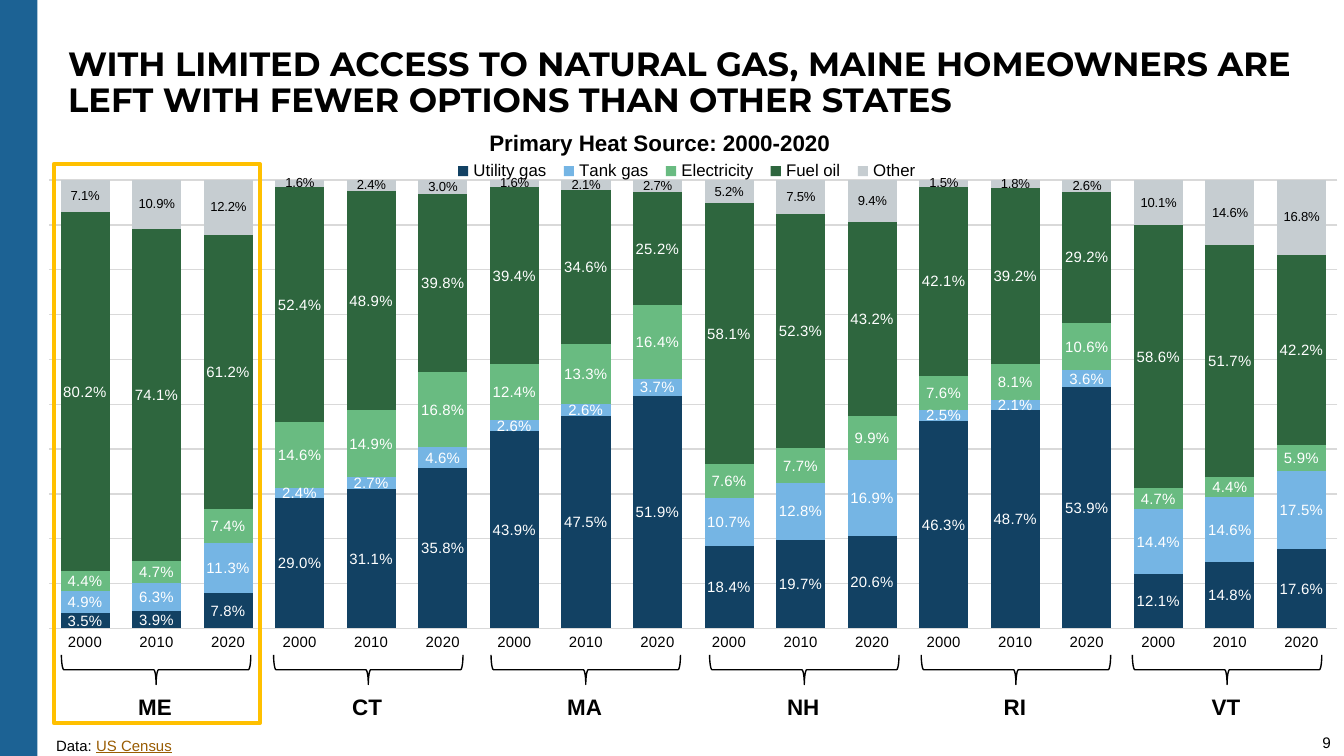
"""Build a slide comparing primary home heat sources across New England states."""
from dataclasses import dataclass
from typing import Any

from lxml import etree
from pptx import Presentation
from pptx import util as u
from pptx.chart import data as chart_data
from pptx.dml.color import RGBColor
from pptx.enum import chart as charts, shapes, text
from pptx.oxml import ns

COLORS = {
    "black": "000000", "white": "FFFFFF", "sidebar": "1C6294", "highlight": "FFC000",
    "grid": "D9D9D9", "link": "995C02", "utility": "124163", "tank": "75B5E4",
    "electricity": "69BB81", "oil": "2E663E", "other": "C6CDD1",
}
YEARS = ("2000", "2010", "2020")


@dataclass(frozen=True)
class Box:
    left: float
    top: float
    width: float
    height: float

    def lengths(self) -> tuple:
        return tuple(u.Cm(n) for n in (self.left, self.top, self.width, self.height))


@dataclass(frozen=True)
class Run:
    words: str
    size: float
    color: str = "black"
    bold: bool = False
    underline: bool = False
    font: str = "Arial"


@dataclass(frozen=True)
class Source:
    name: str
    color: str
    percents: tuple
    label_color: str = "white"
    label_size: float = 8


@dataclass(frozen=True)
class State:
    name: str
    center: float


SOURCES = (
    Source("Utility gas", "utility", (3.5, 3.9, 7.8, 29.0, 31.1, 35.8, 43.9, 47.5, 51.9,
                                      18.4, 19.7, 20.6, 46.3, 48.7, 53.9, 12.1, 14.8, 17.6)),
    Source("Tank gas", "tank", (4.9, 6.3, 11.3, 2.4, 2.7, 4.6, 2.6, 2.6, 3.7,
                                10.7, 12.8, 16.9, 2.5, 2.1, 3.6, 14.4, 14.6, 17.5)),
    Source("Electricity", "electricity", (4.4, 4.7, 7.4, 14.6, 14.9, 16.8, 12.4, 13.3, 16.4,
                                          7.6, 7.7, 9.9, 7.6, 8.1, 10.6, 4.7, 4.4, 5.9)),
    Source("Fuel oil", "oil", (80.2, 74.1, 61.2, 52.4, 48.9, 39.8, 39.4, 34.6, 25.2,
                               58.1, 52.3, 43.2, 42.1, 39.2, 29.2, 58.6, 51.7, 42.2)),
    Source("Other", "other", (7.1, 10.9, 12.2, 1.6, 2.4, 3.0, 1.6, 2.1, 2.7,
                              5.2, 7.5, 9.4, 1.5, 1.8, 2.6, 10.1, 14.6, 16.8), "black", 7),
)
STATES = (State("ME", 2.95), State("CT", 6.96), State("MA", 11.07),
          State("NH", 15.2), State("RI", 19.2), State("VT", 23.19))


def rgb(name: str) -> RGBColor:
    return RGBColor.from_string(COLORS[name])


def style_font(font: Any, size: float, color: str = "black", bold: bool = False,
               name: str = "Arial") -> None:
    font.name, font.size, font.bold = name, u.Pt(size), bold
    font.color.rgb = rgb(color)


def add_runs(paragraph: Any, runs: tuple[Run, ...]) -> None:
    for item in runs:
        run = paragraph.add_run()
        run.text = item.words
        style_font(run.font, item.size, item.color, item.bold, item.font)
        if item.underline:
            run.font.underline = True


def add_text(parent: Any, box: Box, *runs: Run, align: Any = text.PP_ALIGN.LEFT,
             anchor: Any = text.MSO_ANCHOR.TOP, spacing: float = 1.0) -> None:
    frame = parent.add_textbox(*box.lengths()).text_frame
    frame.word_wrap = True
    frame.vertical_anchor = anchor
    paragraph = frame.paragraphs[0]
    paragraph.alignment, paragraph.line_spacing = align, spacing
    add_runs(paragraph, runs)


def add_outline(parent: Any, kind: Any, box: Box, color: str, weight: float) -> Any:
    shape = parent.add_shape(kind, *box.lengths())
    shape.shadow.inherit = False
    shape.fill.background()
    shape.line.color.rgb = rgb(color)
    shape.line.width = u.Pt(weight)
    return shape


def place(element: Any, **fractions: float) -> None:
    for old in element.findall(ns.qn("c:layout")):
        element.remove(old)
    layout = etree.Element(ns.qn("c:layout"))
    manual = etree.SubElement(layout, ns.qn("c:manualLayout"))
    settings = {"xMode": "edge", "yMode": "edge", **fractions}
    if element.tag == ns.qn("c:plotArea"):
        settings = {"layoutTarget": "inner", **settings}
    for key, value in settings.items():
        etree.SubElement(manual, ns.qn(f"c:{key}")).set("val", str(value))
    overlay = element.find(ns.qn("c:overlay"))
    element.insert(0 if overlay is None else element.index(overlay), layout)


def add_heat_chart(slide: Any, box: Box) -> None:
    data = chart_data.CategoryChartData(number_format="0.0%")
    data.categories = YEARS * len(STATES)
    for source in SOURCES:
        data.add_series(source.name, [round(n / 100, 3) for n in source.percents])
    kind = charts.XL_CHART_TYPE.COLUMN_STACKED_100
    chart = slide.shapes.add_chart(kind, *box.lengths(), data).chart
    style_font(chart.font, 10)
    chart.has_title = True
    add_runs(chart.chart_title.text_frame.paragraphs[0],
             (Run("Primary Heat Source: 2000-2020", 12, bold=True),))
    chart.has_legend = True
    chart.legend.position = charts.XL_LEGEND_POSITION.TOP
    chart.legend.include_in_layout = False
    style_font(chart.legend.font, 9)

    plot = chart.plots[0]
    plot.gap_width, plot.overlap, plot.vary_by_categories = 46, 100, False
    for series, source in zip(plot.series, SOURCES):
        series.format.fill.solid()
        series.format.fill.fore_color.rgb = rgb(source.color)
        labels = series.data_labels
        labels.show_value = True
        labels.number_format, labels.number_format_is_linked = "0.0%", False
        labels.position = charts.XL_LABEL_POSITION.CENTER
        style_font(labels.font, source.label_size, source.label_color)

    years, shares = chart.category_axis, chart.value_axis
    years.major_tick_mark = years.minor_tick_mark = charts.XL_TICK_MARK.NONE
    style_font(years.tick_labels.font, 8)
    shares.visible = False
    shares.minimum_scale, shares.maximum_scale, shares.major_unit = 0, 1, 0.1
    shares.has_major_gridlines = True
    for line in (years.format.line, shares.major_gridlines.format.line):
        line.color.rgb = rgb("grid")
        line.width = u.Pt(0.75)

    root = chart.element if hasattr(chart, "element") else chart._chartSpace
    place(root.find(".//" + ns.qn("c:plotArea")), x=0.005, y=0.116, w=0.99, h=0.789)
    place(root.find(".//" + ns.qn("c:title")), x=0.34, y=0.02)
    place(root.find(".//" + ns.qn("c:legend")), x=0.31, y=0.08, w=0.37, h=0.04)


def add_state(slide: Any, state: State) -> None:
    group = slide.shapes.add_group_shape().shapes
    brace = add_outline(group, shapes.MSO_SHAPE.RIGHT_BRACE,
                        Box(state.center - 0.28, 10.87, 0.56, 3.58), "black", 0.75)
    brace.rotation = 90
    add_text(group, Box(state.center - 1.06, 12.98, 2.08, 0.76),
             Run(state.name, 12, bold=True), align=text.PP_ALIGN.CENTER)


def main() -> None:
    presentation = Presentation()
    presentation.slide_width, presentation.slide_height = u.Cm(25.4), u.Cm(14.29)
    slide = presentation.slides.add_slide(presentation.slide_layouts[6])
    sidebar = slide.shapes.add_shape(shapes.MSO_SHAPE.RECTANGLE,
                                     *Box(0, 0, 0.71, 14.29).lengths())
    sidebar.shadow.inherit = False
    sidebar.fill.solid()
    sidebar.fill.fore_color.rgb = rgb("sidebar")
    sidebar.line.fill.background()
    add_text(slide.shapes, Box(24.46, 13.74, 0.94, 0.61), Run("9", 8.2),
             align=text.PP_ALIGN.RIGHT)
    add_text(slide.shapes, Box(1.04, 0.61, 24.05, 1.93),
             Run("WITH LIMITED ACCESS TO NATURAL GAS, MAINE HOMEOWNERS ARE "
                 "LEFT WITH FEWER OPTIONS THAN OTHER STATES", 18, bold=True, font="Montserrat"),
             anchor=text.MSO_ANCHOR.MIDDLE, spacing=0.9)
    add_heat_chart(slide, Box(0.81, 2.16, 24.59, 10.74))
    add_outline(slide.shapes, shapes.MSO_SHAPE.RECTANGLE,
                Box(1.02, 3.1, 3.89, 10.57), "highlight", 2.25)
    for state in STATES:
        add_state(slide, state)
    add_text(slide.shapes, Box(0.81, 13.79, 2.77, 0.61), Run("Data: ", 8),
             Run("US Census", 8, "link", underline=True))
    presentation.save("out.pptx")


if __name__ == "__main__":
    main()
